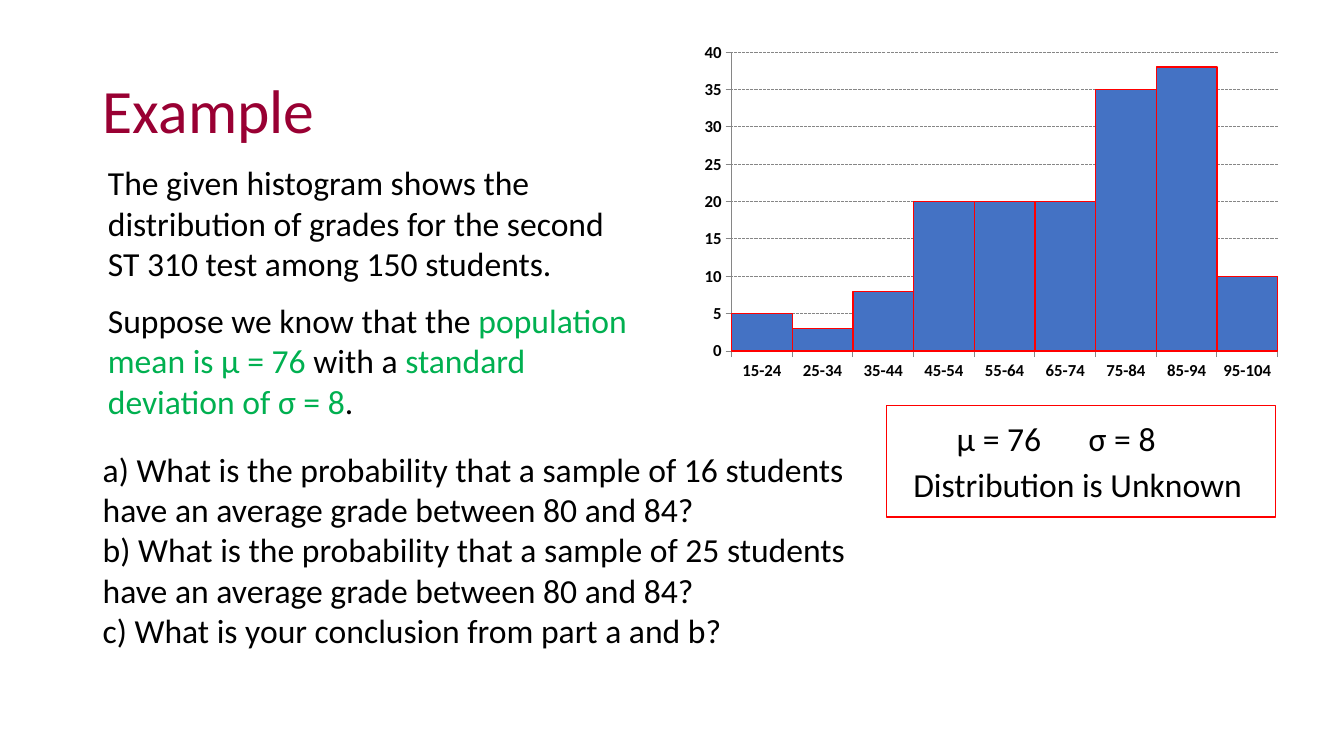
from lxml import etree
from pptx import Presentation
from pptx.chart.data import CategoryChartData
from pptx.dml.color import RGBColor
from pptx.enum.chart import XL_CHART_TYPE as ChartType, XL_TICK_MARK as TickMark
from pptx.enum.dml import MSO_LINE_DASH_STYLE as Dash
from pptx.enum.shapes import MSO_SHAPE as Shape
from pptx.enum.text import MSO_ANCHOR as Anchor, MSO_AUTO_SIZE as AutoSize, PP_ALIGN as Align
from pptx.oxml.ns import qn
from pptx.util import Inches, Pt

BLACK, MAROON, GREEN = "000000", "990033", "00B050"
RED, BLUE, GRAY = "FF0000", "4472C4", "868686"

GRADE_COUNTS = {
    "15-24": 5, "25-34": 3, "35-44": 8, "45-54": 20, "55-64": 20,
    "65-74": 20, "75-84": 35, "85-94": 38, "95-104": 10,
}


def color(hex_text):
    return RGBColor.from_string(hex_text)


def add_run(paragraph, text, size=24, font="Calibri", fill=BLACK):
    run = paragraph.add_run()
    run.text = text
    run.font.size = Pt(size)
    run.font.name = font
    run.font.color.rgb = color(fill)


class SlideBuilder:
    font = "Calibri"

    def __init__(self, presentation):
        self.slide = presentation.slides.add_slide(presentation.slide_layouts[1])

    def place(self, shape, left, top, width, height):
        shape.left, shape.top = Inches(left), Inches(top)
        shape.width, shape.height = Inches(width), Inches(height)

    def fill_text(self, frame, paragraphs, size=24, line_spacing=1.0, gap=0):
        """Each paragraph is a list of (text, colour) runs."""
        for index, runs in enumerate(paragraphs):
            paragraph = frame.paragraphs[0] if index == 0 else frame.add_paragraph()
            paragraph.alignment = Align.LEFT
            paragraph.line_spacing = line_spacing
            paragraph.space_before = Pt(gap if index else 0)
            for text, fill in runs:
                add_run(paragraph, text, size=size, font=self.font, fill=fill)

    def title(self, text, box):
        shape = self.slide.shapes.title
        self.place(shape, *box)
        shape.text_frame.vertical_anchor = Anchor.MIDDLE
        self.fill_text(shape.text_frame, [[(text, MAROON)]], size=44, line_spacing=0.9)

    def body(self, paragraphs, box, gap):
        shape = self.slide.placeholders[1]
        self.place(shape, *box)
        frame = shape.text_frame
        frame.auto_size = AutoSize.NONE
        self.fill_text(frame, paragraphs, gap=gap)
        for paragraph in frame.paragraphs:
            properties = paragraph._p.get_or_add_pPr()
            properties.set("marL", "0")
            properties.set("indent", "0")
            etree.SubElement(properties, qn("a:buNone"))

    def text(self, lines, box, wrap=True):
        shape = self.slide.shapes.add_textbox(*map(Inches, box))
        shape.text_frame.word_wrap = wrap
        self.fill_text(shape.text_frame, [[(line, BLACK)] for line in lines])

    def frame(self, box):
        shape = self.slide.shapes.add_shape(Shape.RECTANGLE, *map(Inches, box))
        shape.shadow.inherit = False
        shape.fill.background()
        shape.line.color.rgb = color(RED)
        shape.line.width = Pt(1)

    def histogram(self, counts, box):
        data = CategoryChartData()
        data.categories = list(counts)
        data.add_series("Series 1", list(counts.values()))
        chart = self.slide.shapes.add_chart(
            ChartType.COLUMN_CLUSTERED, *map(Inches, box), data).chart
        chart.has_legend = chart.has_title = False
        chart.font.name = self.font
        chart.font.size = Pt(10)
        chart.font.color.rgb = color(BLACK)

        # Touching bars
        plot = chart.plots[0]
        plot.gap_width = 0
        plot.vary_by_categories = False
        bars = plot.series[0].format
        bars.fill.solid()
        bars.fill.fore_color.rgb = color(BLUE)
        bars.line.color.rgb = color(RED)
        bars.line.width = Pt(1)

        # Axes and dashed gridlines
        for axis in (chart.category_axis, chart.value_axis):
            axis.major_tick_mark = TickMark.OUTSIDE
            axis.tick_labels.font.size = Pt(12)
            axis.tick_labels.font.bold = True
            axis.format.line.color.rgb = color(GRAY)
            axis.format.line.width = Pt(0.75)
        axis = chart.value_axis
        axis.minimum_scale, axis.maximum_scale, axis.major_unit = 0, 40, 5
        gridline = axis.major_gridlines.format.line
        gridline.color.rgb = color(GRAY)
        gridline.width = Pt(0.75)
        gridline.dash_style = Dash.SQUARE_DOT


def main():
    presentation = Presentation()
    presentation.slide_width = Inches(13.33)
    presentation.slide_height = Inches(7.5)
    builder = SlideBuilder(presentation)

    # Title and problem statement
    builder.title("Example", (0.92, 0.4, 6.33, 1.45))
    builder.body([
        [("The given histogram shows the distribution of grades for the second "
          "ST 310 test among 150 students.", BLACK)],
        [("Suppose we know that the ", BLACK),
         ("population mean is μ = 76 ", GREEN),
         ("with a ", BLACK),
         ("standard deviation of σ = 8", GREEN),
         (".", BLACK)],
    ], (0.97, 1.56, 5.45, 2.69), gap=12)

    # Grade distribution
    builder.histogram(GRADE_COUNTS, (6.87, 0.35, 5.92, 3.5))

    # Boxed summary
    builder.text(["μ = 76"], (9.39, 4.1, 1.12, 0.5), wrap=False)
    builder.text(["σ = 8"], (10.7, 4.1, 1.07, 0.5))
    builder.text(["Distribution is Unknown"], (8.96, 4.55, 3.49, 0.5), wrap=False)
    builder.frame((8.79, 4.02, 3.86, 1.11))

    # Questions
    sample_question = ("{}) What is the probability that a sample of {} students "
                       "have an average grade between 80 and 84?")
    builder.text([
        sample_question.format("a", 16),
        sample_question.format("b", 25),
        "c) What is your conclusion from part a and b?",
    ], (0.92, 4.4, 7.79, 2.12))

    presentation.save("out.pptx")


if __name__ == "__main__":
    main()
